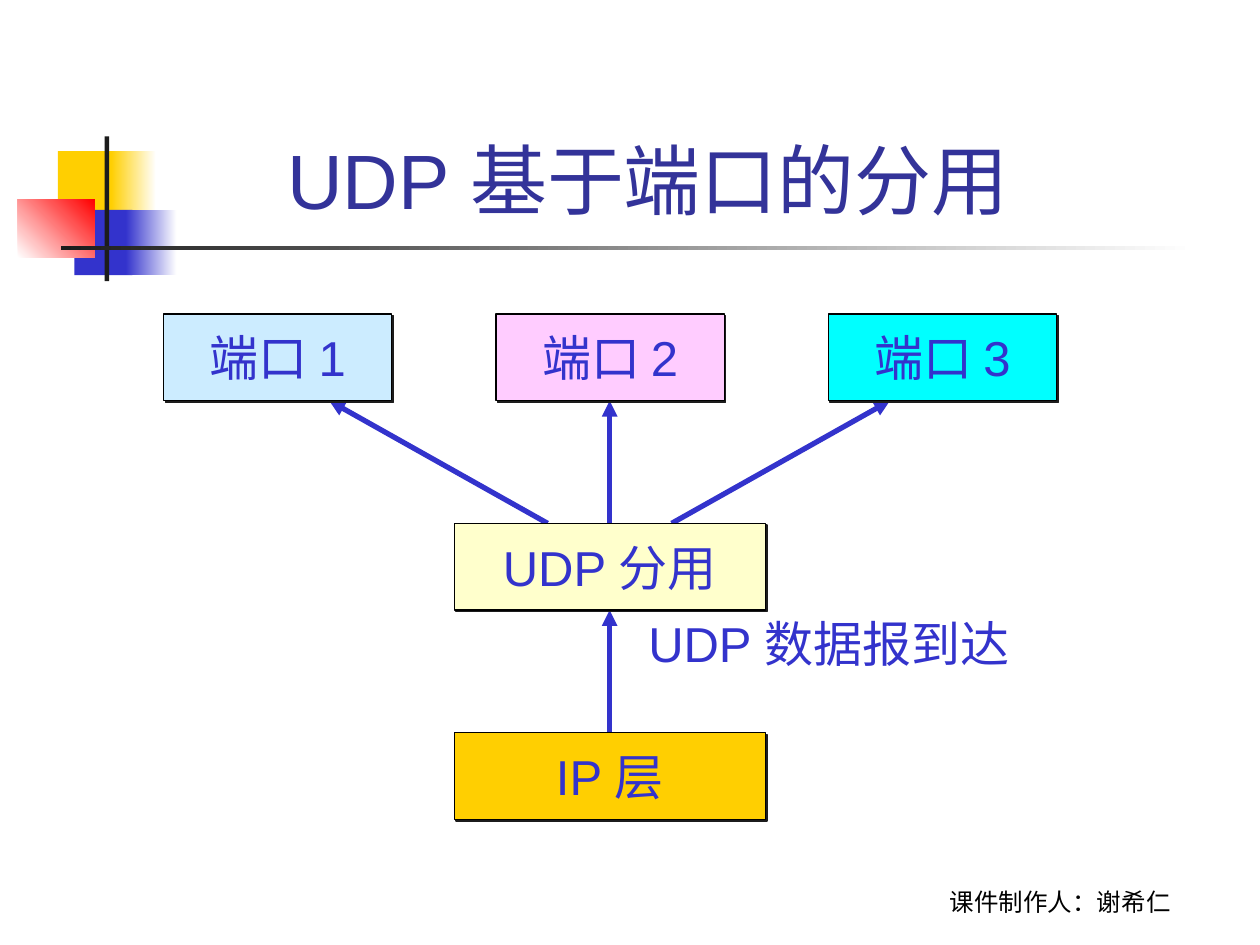
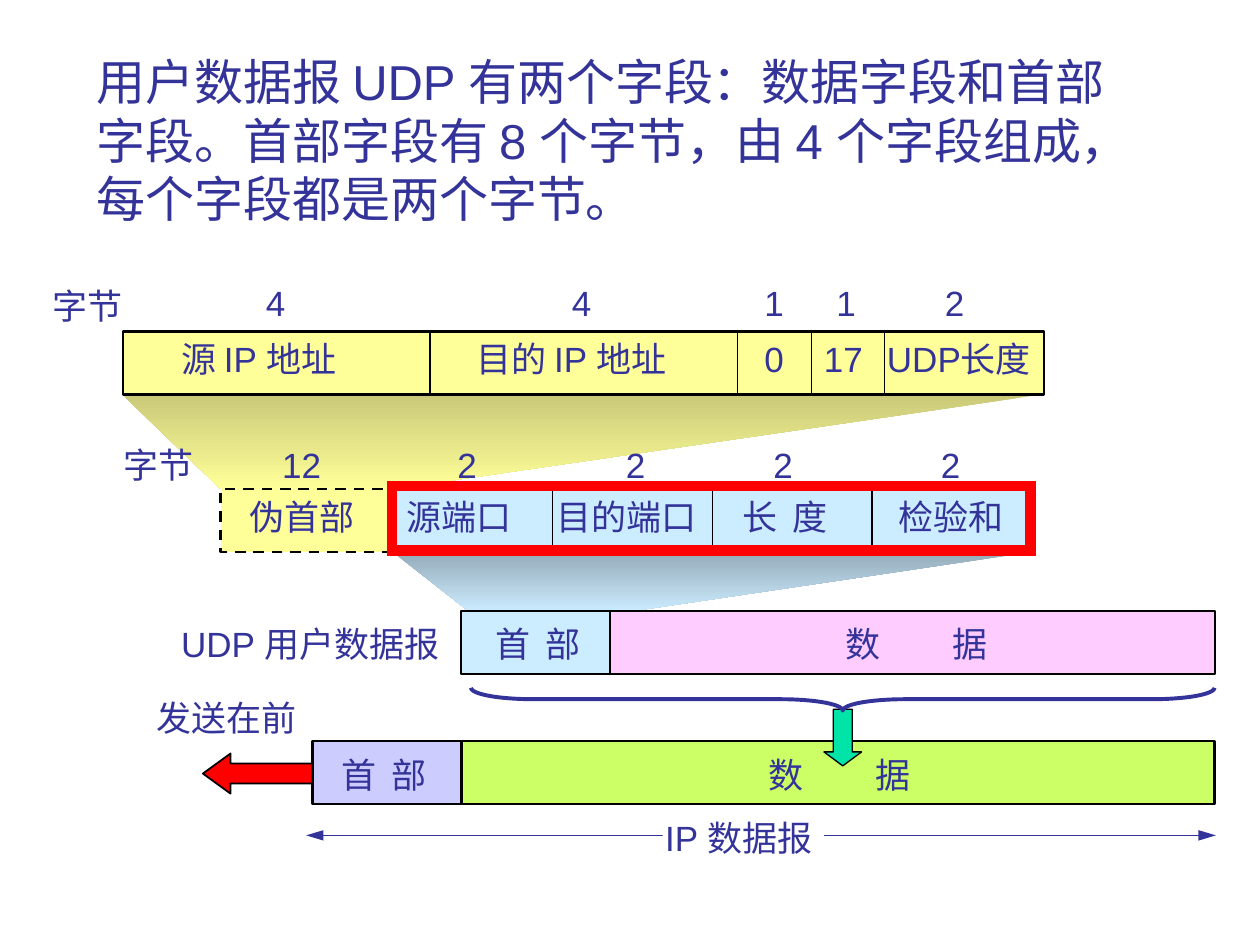
from pptx import Presentation
from pptx import util as u
from pptx.dml.color import RGBColor
from pptx.enum import dml, shapes, text
from pptx.oxml import ns
from lxml import etree

Cm, Pt = u.Cm, u.Pt
MSO = shapes.MSO_SHAPE
ALIGN, ANCHOR = text.PP_ALIGN, text.MSO_ANCHOR

BLACK = RGBColor(0x00, 0x00, 0x00)
WHITE = RGBColor(0xFF, 0xFF, 0xFF)
INK = RGBColor(0x1C, 0x1C, 0x1C)
NAVY = RGBColor(0x33, 0x33, 0x99)
BLUE = RGBColor(0x33, 0x33, 0xCC)
GOLD = RGBColor(0xFF, 0xCF, 0x01)
RED = RGBColor(0xFF, 0x00, 0x00)
SKY = RGBColor(0xCC, 0xEC, 0xFF)
SKY_DARK = RGBColor(0x94, 0xAB, 0xB9)
PINK = RGBColor(0xFF, 0xCC, 0xFF)
CYAN = RGBColor(0x00, 0xFF, 0xFF)
CREAM = RGBColor(0xFF, 0xFF, 0xCC)
YELLOW = RGBColor(0xFF, 0xFF, 0x99)
YELLOW_DARK = RGBColor(0xC9, 0xC9, 0x79)
LILAC = RGBColor(0xCC, 0xCC, 0xFF)
LIME = RGBColor(0xCC, 0xFF, 0x66)
GREEN = RGBColor(0x00, 0xE4, 0xA8)

FONT = "Arial"
ROW_H = 1.27
LABEL_H = 1.12
NARROW_TAB, WIDE_TAB = 1.01, 2.16


def child(parent, tag, **attrs):
    return etree.SubElement(parent, ns.qn(tag), attrs)


def paint(sp, fill=None, line=None, width=0.75):
    sp.shadow.inherit = False
    if isinstance(fill, tuple) and not isinstance(fill, RGBColor):
        start, end, angle = fill
        sp.fill.gradient()
        sp.fill.gradient_angle = angle
        for stop, color in zip(sp.fill.gradient_stops, (start, end)):
            stop.color.rgb = color
    elif fill is None:
        sp.fill.background()
    else:
        sp.fill.solid()
        sp.fill.fore_color.rgb = fill
    if line is None:
        sp.line.fill.background()
    else:
        sp.line.color.rgb = line
        sp.line.width = Pt(width)
    return sp


def add_preset(s, x, y, w, h, fill=None, line=None, width=0.75, kind=MSO.RECTANGLE):
    sp = s.shapes.add_shape(kind, Cm(x), Cm(y), Cm(w), Cm(h))
    return paint(sp, fill, line, width)


def add_outline(s, points, fill, line=None, width=0.75, close=True):
    start, *rest = [(Cm(x), Cm(y)) for x, y in points]
    builder = s.shapes.build_freeform(*start)
    builder.add_line_segments(rest, close=close)
    return paint(builder.convert_to_shape(), fill, line, width)


def add_line(s, x1, y1, x2, y2, color=BLACK, width=0.75, ends=(), length="med"):
    sp = s.shapes.add_connector(shapes.MSO_CONNECTOR.STRAIGHT, Cm(x1), Cm(y1), Cm(x2), Cm(y2))
    sp.line.color.rgb = color
    sp.line.width = Pt(width)
    for end in ends:
        child(sp.line._get_or_add_ln(), end, type="triangle", len=length)
    child(sp._element.spPr, "a:effectLst")


def write(tf, content, size, color, align=ALIGN.LEFT, font=FONT):
    tf.text = content
    p = tf.paragraphs[0]
    p.alignment = align
    for r in p.runs:
        r.font.size = Pt(size)
        r.font.name = font
        r.font.color.rgb = color
    return p


def add_text(s, content, x, y, w, h, size, color, align=ALIGN.LEFT, anchor=ANCHOR.TOP,
             font=FONT, right=0.25):
    tf = s.shapes.add_textbox(Cm(x), Cm(y), Cm(w), Cm(h)).text_frame
    tf.word_wrap = True
    tf.vertical_anchor = anchor
    tf.margin_right = Cm(right)
    return write(tf, content, size, color, align, font)


def add_label(s, y, content, x, w, tab=None):
    p = add_text(s, content, x, y, w, LABEL_H, 20, NAVY, right=0)
    if tab:
        tabs = child(p._p.get_or_add_pPr(), "a:tabLst")
        child(tabs, "a:tab", pos=str(Cm(tab)), algn="l")


def add_node(s, content, x, y, w, fill):
    sp = add_preset(s, x, y, w, 1.75, fill, BLACK)
    effects = sp._element.spPr.find(ns.qn("a:effectLst"))
    shadow = child(effects, "a:outerShdw", dist=str(Pt(1.4)), dir="2700000",
                   algn="ctr", rotWithShape="0")
    child(shadow, "a:srgbClr", val=str(INK))
    tf = sp.text_frame
    tf.word_wrap = False
    tf.vertical_anchor = ANCHOR.MIDDLE
    write(tf, content, 28, BLUE, ALIGN.CENTER)


def add_field_row(s, x, y, w, fill, dividers):
    add_preset(s, x, y, w, ROW_H, fill, BLACK, 1.5)
    for dx in dividers:
        add_line(s, dx, y, dx, y + ROW_H)


def add_decoration(s):
    for x, y, w, h, fill in (
        (1.17, 3.05, 1.22, 1.32, GOLD),
        (2.24, 3.05, 0.91, 1.32, (GOLD, WHITE, 0)),
        (1.5, 4.23, 1.17, 1.32, BLUE),
        (2.54, 4.23, 1.02, 1.32, (BLUE, WHITE, 0)),
        (0.36, 4.02, 1.55, 1.17, (WHITE, RED, 45)),
        (2.11, 2.75, 0.09, 2.92, INK),
        (1.23, 4.95, 22.86, 0.09, (INK, WHITE, 0)),
    ):
        add_preset(s, x, y, w, h, fill)


def build_demultiplexing(s):
    add_decoration(s)
    add_text(s, "课件制作人：谢希仁", 17.35, 17.32, 8.05, 1.27, 14, BLACK,
             ALIGN.CENTER, ANCHOR.BOTTOM, "Lato")
    add_text(s, "UDP 基于端口的分用 ", 3.2, 0.6, 20.09, 4.06, 44, NAVY,
             ALIGN.CENTER, ANCHOR.BOTTOM)
    mid, port_bottom, udp_y, ip_y = 12.29, 8.08, 10.55, 14.77
    add_line(s, mid, ip_y, mid, udp_y + 1.75, BLUE, 3, ["a:tailEnd"])
    for side in (0, 1, -1):
        add_line(s, mid + side * 1.25, udp_y, mid + side * 5.65, port_bottom,
                 BLUE, 3, ["a:tailEnd"])
    for i, fill in enumerate((SKY, PINK, CYAN)):
        add_node(s, f"端口 {i + 1}", 3.3 + i * 6.7, 6.33, 4.6, fill)
    add_node(s, "UDP 分用", 9.16, udp_y, 6.27, CREAM)
    add_node(s, "IP 层", 9.16, ip_y, 6.27, GOLD)
    add_text(s, "UDP 数据报到达", 12.82, 12.24, 8.03, 1.45, 28, BLUE, right=0)


def build_datagram_format(s):
    pseudo_y, header_y, udp_y, ip_y = 6.68, 9.86, 12.32, 14.94
    header_x, header_w = 7.92, 12.88

    add_outline(s, [(7.92, 11.13), (20.78, 11.13), (12.62, 12.34), (9.45, 12.32)],
                (SKY_DARK, SKY, 270))
    add_outline(s, [(2.46, 7.95), (21.03, 7.95), (7.92, 9.86), (4.45, 9.86)],
                (YELLOW_DARK, YELLOW, 270))
    add_field_row(s, 2.48, pseudo_y, 18.57, YELLOW, (8.67, 14.86, 16.36, 17.83))
    add_field_row(s, header_x, header_y, header_w, SKY,
                  [header_x + i * header_w / 4 for i in (1, 2, 3)])
    bottom = header_y + ROW_H
    pseudo = add_outline(s, [(header_x, bottom), (4.45, bottom), (4.45, header_y),
                             (header_x, header_y)], YELLOW, BLACK, 1.5, close=False)
    pseudo.line.dash_style = dml.MSO_LINE.DASH
    frame = add_preset(s, 7.9, 9.8, header_w, 1.3, None, RED, 6)
    child(frame.line._get_or_add_ln(), "a:miter", lim="800000")

    for x, y, w, fill, width in (
        (9.3, udp_y, 3, SKY, 1),
        (12.3, udp_y, 12.19, PINK, 1),
        (9.3, ip_y, 15.19, LIME, 1.5),
        (6.3, ip_y, 3, LILAC, 1.5),
    ):
        add_preset(s, x, y, w, ROW_H, fill, BLACK, width)

    send = add_preset(s, 4.09, 15.19, 2.21, 0.81, RED, BLACK, 1, MSO.LEFT_ARROW)
    send.adjustments[1] = 0.69
    down = add_preset(s, 16.61, 14.3, 0.76, 1.14, GREEN, BLACK, 0.75, MSO.DOWN_ARROW)
    down.adjustments[1] = 0.37
    brace = add_preset(s, 16.76, 6.6, 0.46, 14.99, None, NAVY, 2.25, MSO.LEFT_BRACE)
    brace.adjustments[0] = 2.72
    brace.rotation = 270
    add_line(s, 6.17, 16.84, 24.51, 16.84, NAVY, 0.75, ["a:headEnd", "a:tailEnd"], "lg")
    add_preset(s, 13.36, 16.41, 3.25, 0.81, WHITE)

    rows = {
        5.56: [("4", 5.11, 0.89), ("4", 11.28, 0.89), ("1", 15.16, 0.89),
               ("1", 16.61, 0.89), ("2", 18.8, 0.89)],
        5.61: [("字节", 0.81, 1.9)],
        pseudo_y: [("源 IP 地址", 3.4, 3.99), ("目的 IP 地址", 9.35, 4.7),
                   ("0", 15.16, 0.89), ("17", 16.36, 1.3), ("UDP长度", 17.63, 3.58)],
        8.81: [("字节", 2.24, 1.9), ("12", 5.44, 1.3), ("2", 8.97, 0.89),
               ("2", 12.37, 0.89), ("2", 15.34, 0.89), ("2", 18.72, 0.89)],
        header_y: [("伪首部", 4.78, 2.62), ("源端口", 7.95, 2.62), ("目的端口", 10.97, 3.33),
                   ("长\t度", 14.71, 2.24, NARROW_TAB), ("检验和", 17.86, 2.62)],
        12.42: [("UDP 用户数据报", 3.4, 5.89), ("首\t部", 9.73, 2.24, NARROW_TAB),
                ("数\t据", 16.79, 3.35, WIDE_TAB)],
        13.92: [("发送在前", 2.9, 3.33)],
        15.06: [("首\t部", 6.63, 2.24, NARROW_TAB), ("数\t据", 15.24, 3.35, WIDE_TAB)],
        16.33: [("IP 数据报", 13.16, 3.66)],
    }
    for y, labels in rows.items():
        for label in labels:
            add_label(s, y, *label)
    p = add_text(s, "用户数据报 UDP 有两个字段：数据字段和首部字段。首部字段有 8 个字节，"
                    "由 4 个字段组成，每个字段都是两个字节。",
                 1.7, 0.91, 21.67, 3.81, 28, NAVY)
    p._p.get_or_add_pPr().set("hangingPunct", "0")


def main():
    prs = Presentation()
    prs.slide_width, prs.slide_height = Cm(25.4), Cm(19.05)
    for build in (build_demultiplexing, build_datagram_format):
        build(prs.slides.add_slide(prs.slide_layouts[6]))
    prs.save("out.pptx")


if __name__ == "__main__":
    main()
